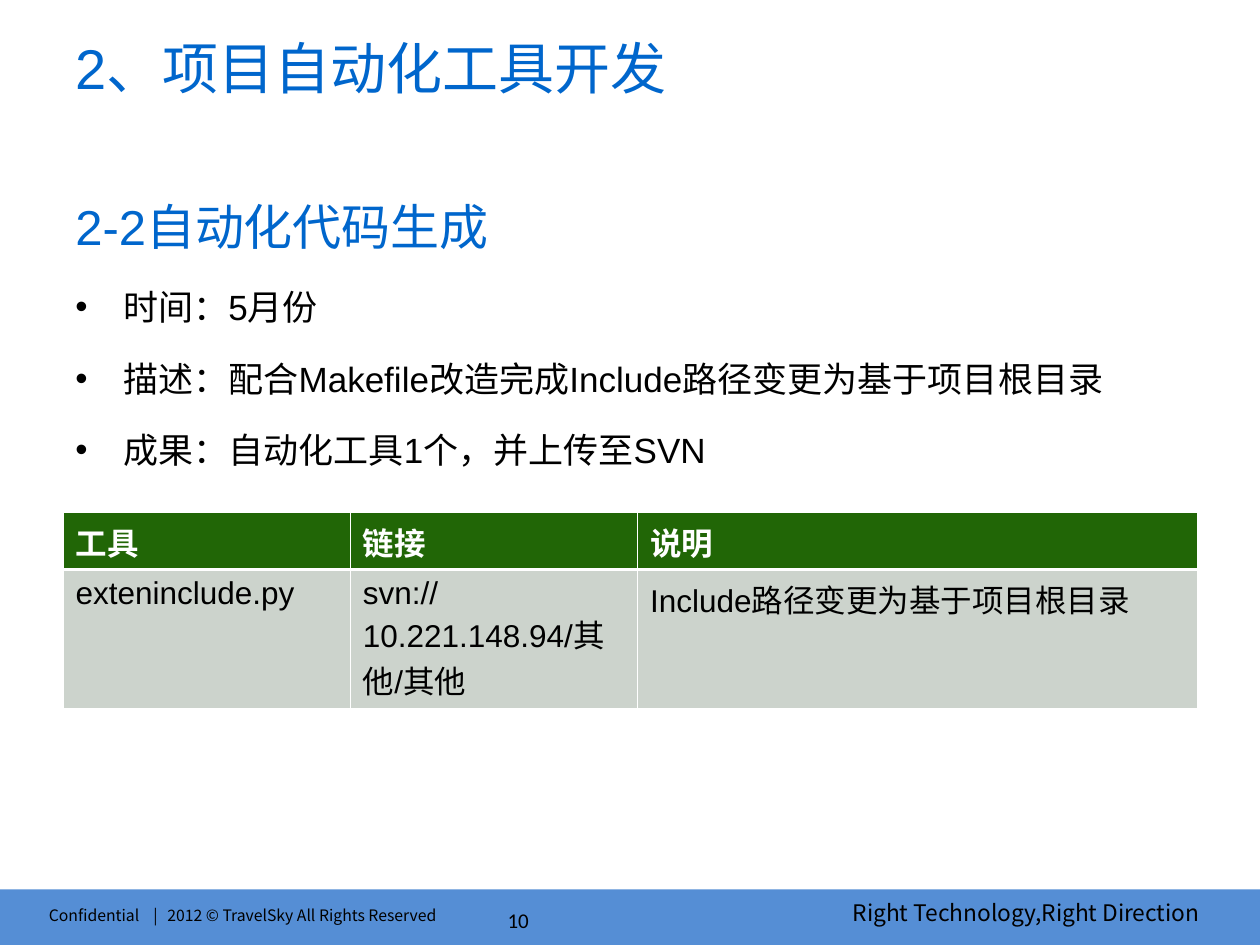
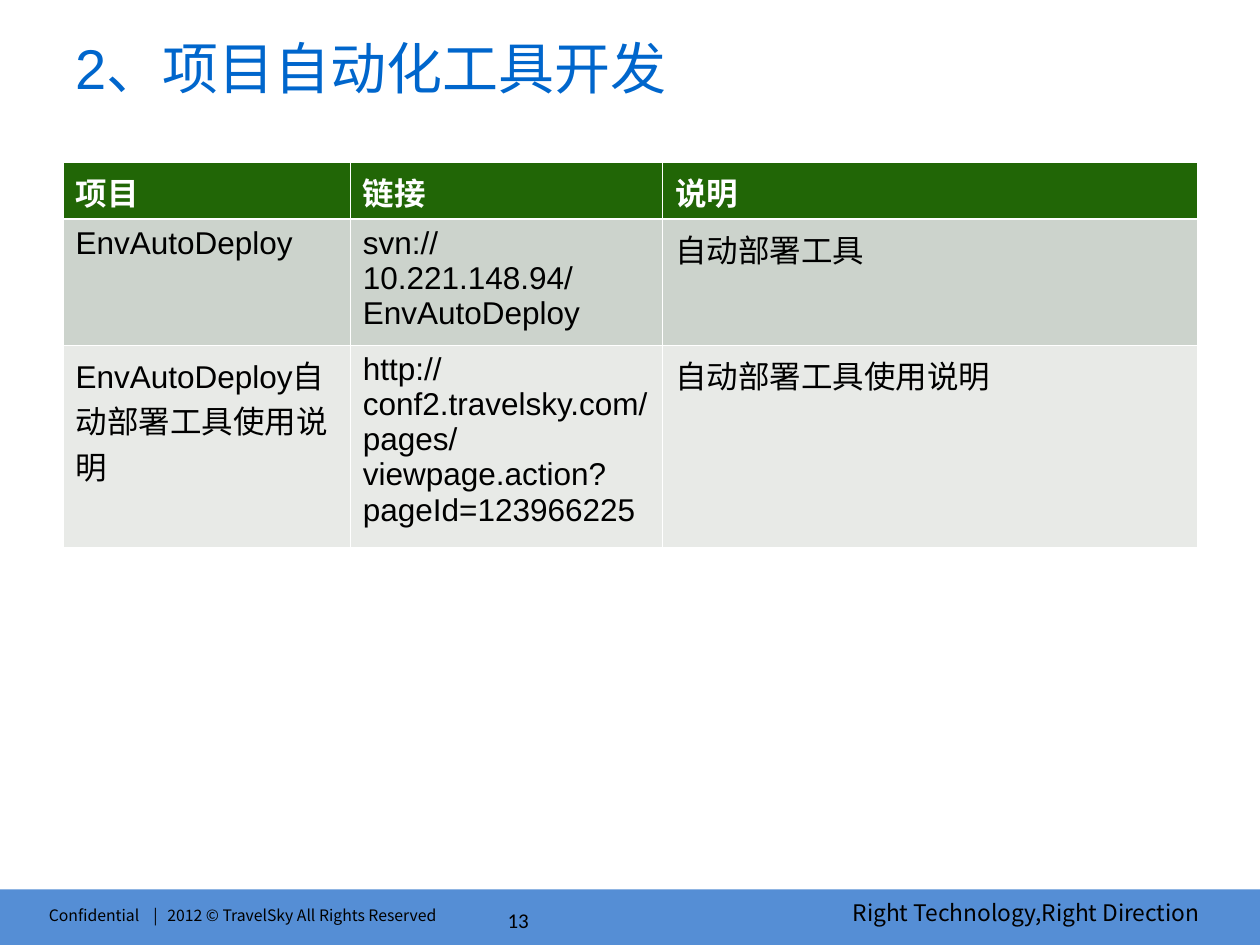
"""Build two slides on project automation tools, each with a table of links."""
from lxml import etree
from pptx import Presentation
from pptx.dml.color import RGBColor
from pptx.enum.shapes import MSO_SHAPE
from pptx.enum.text import MSO_ANCHOR
from pptx.oxml.ns import qn
from pptx.util import Inches, Pt

RECTANGLE = MSO_SHAPE.RECTANGLE
TOP, MIDDLE = MSO_ANCHOR.TOP, MSO_ANCHOR.MIDDLE

BLUE, BAND, BLACK, WHITE = "0066CC", "558ED5", "000000", "FFFFFF"
ROW_FILLS = ["216606", "CCD3CC", "E8EAE7"]
CJK_FONT = "Noto Sans CJK SC"
TITLE = "2、项目自动化工具开发"
COPYRIGHT = "Confidential\t|\t2012 © TravelSky All Rights Reserved"
COPYRIGHT_TABS = [0.83, 0.94]
THIN, THICK = 0.45, 1.47

TITLE_STYLE = {"size": Pt(32), "name": "Arial"}
HEADING_STYLE = {"size": Pt(28), "name": "Arial"}
BULLET_STYLE = {"size": Pt(20), "name": "Arial"}
SLOGAN_STYLE = {"size": Pt(13), "name": CJK_FONT}
COPYRIGHT_STYLE = {"size": Pt(9), "name": CJK_FONT}
NUMBER_STYLE = {"size": Pt(12), "name": "Calibri"}
HEADER_STYLE = {"size": Pt(18), "name": "Arial", "bold": True}
CELL_STYLE = {"size": Pt(18), "name": "Arial", "bold": False}

PAGES = [
    {
        "number": "10",
        "heading": "2-2自动化代码生成",
        "bullets": [
            "时间：5月份",
            "描述：配合Makefile改造完成Include路径变更为基于项目根目录",
            "成果：自动化工具1个，并上传至SVN",
        ],
        "table_top": 4.07,
        "columns": [2.28, 2.28, 4.44],
        "row_heights": [0.45, 1.1],
        "rows": [
            ["工具", "链接", "说明"],
            ["exteninclude.py", "svn://10.221.148.94/其他/其他",
             "Include路径变更为基于项目根目录"],
        ],
    },
    {
        "number": "13",
        "heading": "",
        "bullets": [],
        "table_top": 1.29,
        "columns": [2.28, 2.48, 4.24],
        "row_heights": [0.45, 1, 1.6],
        "rows": [
            ["项目", "链接", "说明"],
            ["EnvAutoDeploy", "svn://10.221.148.94/EnvAutoDeploy", "自动部署工具"],
            ["EnvAutoDeploy自动部署工具使用说明",
             "http://conf2.travelsky.com/pages/viewpage.action?pageId=123966225",
             "自动部署工具使用说明"],
        ],
    },
]


def paint(fill, color):
    """Fill with one solid colour."""
    fill.solid()
    fill.fore_color.rgb = RGBColor.from_string(color)


def write(para, text, color, style):
    """Add a styled run of text to a paragraph."""
    span = para.add_run()
    span.text = text
    for attribute, value in style.items():
        setattr(span.font, attribute, value)
    paint(span.font.fill, color)
    etree.SubElement(span.font._element, qn("a:ea"), typeface=CJK_FONT)


deck = Presentation()
deck.slide_width, deck.slide_height = Inches(10), Inches(7.5)

for content in PAGES:
    page = deck.slides.add_slide(deck.slide_layouts[6])

    band = page.shapes.add_shape(RECTANGLE, 0, Inches(7.06), Inches(10), Inches(0.44))
    band.shadow.inherit = False
    paint(band.fill, BAND)
    band.line.fill.background()

    labels = [
        ("Right Technology,Right Direction", (6.67, 7.08, 2.97, 0.32), BLACK, SLOGAN_STYLE, TOP, False, []),
        (COPYRIGHT, (0.29, 7.14, 3.84, 0.25), BLACK, COPYRIGHT_STYLE, TOP, True, COPYRIGHT_TABS),
        (content["number"], (3.93, 7.1, 2.33, 0.4), BLACK, NUMBER_STYLE, MIDDLE, True, []),
        (TITLE, (0.5, 0.21, 9, 0.64), BLUE, TITLE_STYLE, MIDDLE, True, []),
    ]
    for text, place, color, style, anchor, wrap, tabs in labels:
        frame = page.shapes.add_textbox(*map(Inches, place)).text_frame
        frame.word_wrap = wrap
        frame.vertical_anchor = anchor
        para = frame.paragraphs[0]
        if tabs:
            tab_list = etree.SubElement(para._p.get_or_add_pPr(), qn("a:tabLst"))
            for stop in tabs:
                etree.SubElement(tab_list, qn("a:tab"), pos=str(Inches(stop)), algn="l")
        write(para, text, color, style)

    if content["heading"]:
        frame = page.shapes.add_textbox(*map(Inches, (0.5, 1.28, 9, 5.42))).text_frame
        frame.word_wrap = True
        heading = frame.paragraphs[0]
        heading.line_spacing = 1.5
        write(heading, content["heading"], BLUE, HEADING_STYLE)
        for text in content["bullets"]:
            para = frame.add_paragraph()
            para.line_spacing = 1.5
            para.space_before = Pt(5)
            properties = para._p.get_or_add_pPr()
            properties.set("marL", str(Inches(0.38)))
            properties.set("indent", str(-Inches(0.38)))
            etree.SubElement(properties, qn("a:buFont"), typeface="Arial")
            etree.SubElement(properties, qn("a:buChar"), char="•")
            write(para, text, BLACK, BULLET_STYLE)

    rows, heights, widths = content["rows"], content["row_heights"], content["columns"]
    table = page.shapes.add_table(
        len(rows), len(widths), Inches(0.5), Inches(content["table_top"]),
        Inches(sum(widths)), Inches(sum(heights))).table
    table.horz_banding = False
    for column, width in zip(table.columns, widths):
        column.width = Inches(width)
    for row_index, texts in enumerate(rows):
        table.rows[row_index].height = Inches(heights[row_index])
        is_header = row_index == 0
        borders = {
            "a:lnL": THIN,
            "a:lnR": THIN,
            "a:lnT": THICK if row_index == 1 else THIN,
            "a:lnB": THICK if is_header else THIN,
        }
        for column_index, text in enumerate(texts):
            cell = table.cell(row_index, column_index)
            properties = cell._tc.get_or_add_tcPr()
            for tag, points in borders.items():
                line = etree.SubElement(properties, qn(tag), w=str(Pt(points)))
                solid = etree.SubElement(line, qn("a:solidFill"))
                etree.SubElement(solid, qn("a:srgbClr"), val=WHITE)
            paint(cell.fill, ROW_FILLS[row_index])
            write(cell.text_frame.paragraphs[0], text,
                  WHITE if is_header else BLACK,
                  HEADER_STYLE if is_header else CELL_STYLE)

deck.save("out.pptx")
